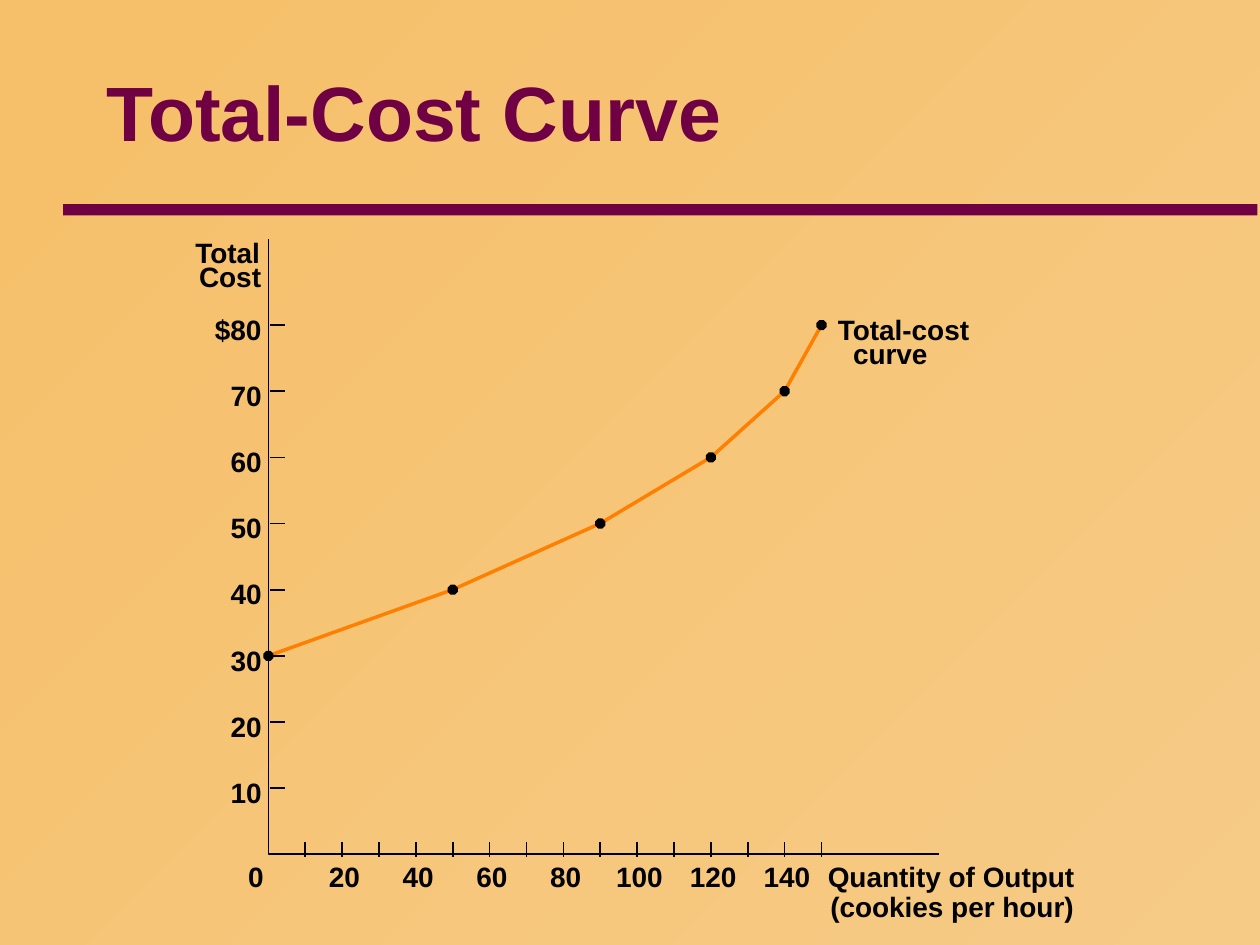
from lxml import etree
from pptx import Presentation
from pptx.dml.color import RGBColor
from pptx.enum.shapes import MSO_CONNECTOR, MSO_SHAPE
from pptx.enum.text import MSO_ANCHOR, MSO_AUTO_SIZE
from pptx.oxml.ns import qn
from pptx.util import Inches, Pt

STRAIGHT = MSO_CONNECTOR.STRAIGHT
RECTANGLE, OCTAGON = MSO_SHAPE.RECTANGLE, MSO_SHAPE.OCTAGON
MIDDLE = MSO_ANCHOR.MIDDLE
FIT_SHAPE, FIXED_SIZE = MSO_AUTO_SIZE.SHAPE_TO_FIT_TEXT, MSO_AUTO_SIZE.NONE

PLUM = RGBColor(0x6E, 0x00, 0x43)
BLACK = RGBColor(0x00, 0x00, 0x00)
ORANGE = RGBColor(0xFF, 0x80, 0x00)
LIGHT_SAND = RGBColor(0xF6, 0xCB, 0x86)
DARK_SAND = RGBColor(0xF6, 0xBF, 0x69)

# Content
TITLE = "Total-Cost Curve"
CURVE = [(0, 30), (50, 40), (90, 50), (120, 60), (140, 70), (150, 80)]
CAPTIONS = [  # text, left, top, width
    ("Total", 1.55, 1.87, 0.55),
    ("Cost", 1.58, 2.06, 0.52),
    ("Quantity of Output", 6.57, 6.82, 1.98),
    ("(cookies per hour)", 6.59, 7.06, 1.96),
    ("0", 1.97, 6.82, 0.13),
    ("Total-cost", 6.65, 2.48, 1.08),
    ("curve", 6.77, 2.67, 0.62),
]

# Axis geometry, in inches
ORIGIN_X, ORIGIN_Y = 2.13, 6.78
AXIS_TOP, AXIS_RIGHT = 1.9, 7.45
X_SCALE = 4.39 / 150
Y_SCALE = 4.2 / 80
DIGIT_WIDTH = 0.125
LABEL_RIGHT, LABEL_TOP, LABEL_HEIGHT = 2.08, 6.82, 0.27
MARKER = 0.08


def x_at(quantity):
    return ORIGIN_X + quantity * X_SCALE


def y_at(cost):
    return ORIGIN_Y - cost * Y_SCALE


def add_label(slide, text, left, top, width, height=LABEL_HEIGHT, size=16, color=BLACK):
    box = slide.shapes.add_textbox(Inches(left), Inches(top), Inches(width), Inches(height))
    frame = box.text_frame
    frame.margin_left = frame.margin_right = frame.margin_top = frame.margin_bottom = 0
    frame.word_wrap = False
    frame.auto_size = FIT_SHAPE
    paragraph = frame.paragraphs[0]
    paragraph.text = text
    font = paragraph.font
    font.name, font.size, font.bold = "Arial", Pt(size), True
    font.color.rgb = color
    return frame


def add_polyline(slide, points, color, width):
    corners = [(Inches(x), Inches(y)) for x, y in points]
    builder = slide.shapes.build_freeform(*corners[0])
    builder.add_line_segments(corners[1:], close=False)
    shape = builder.convert_to_shape()
    shape.shadow.inherit = False
    shape.fill.background()
    shape.line.color.rgb = color
    shape.line.width = Pt(width)


def add_tick(slide, x1, y1, x2, y2):
    tick = slide.shapes.add_connector(STRAIGHT, Inches(x1), Inches(y1), Inches(x2), Inches(y2))
    tick.line.color.rgb = BLACK
    tick.line.width = Pt(1)
    etree.SubElement(tick.element.spPr, qn("a:effectLst"))


def add_solid(slide, kind, left, top, width, height, color):
    shape = slide.shapes.add_shape(kind, Inches(left), Inches(top), Inches(width), Inches(height))
    shape.shadow.inherit = False
    shape.fill.solid()
    shape.fill.fore_color.rgb = color
    shape.line.fill.background()


def main():
    presentation = Presentation()
    presentation.slide_width, presentation.slide_height = Inches(10), Inches(7.5)
    slide = presentation.slides.add_slide(presentation.slide_layouts[6])

    # Background
    background = slide.background.fill
    background.gradient()
    background.gradient_angle = 135
    for stop, color in zip(background.gradient_stops, (LIGHT_SAND, DARK_SAND)):
        stop.color.rgb = color

    # Title and rule
    title = add_label(slide, TITLE, 0.75, 0.25, 8.5, 1.25, 44, PLUM)
    title.margin_left = title.margin_right = Inches(0.1)
    title.margin_top = title.margin_bottom = Inches(0.05)
    title.word_wrap = True
    title.auto_size = FIXED_SIZE
    title.vertical_anchor = MIDDLE
    add_solid(slide, RECTANGLE, 0.5, 1.62, 9.48, 0.09, PLUM)

    # Axes and curve
    axes = [(ORIGIN_X, AXIS_TOP), (ORIGIN_X, ORIGIN_Y), (AXIS_RIGHT, ORIGIN_Y)]
    add_polyline(slide, axes, BLACK, 1)
    points = [(x_at(quantity), y_at(cost)) for quantity, cost in CURVE]
    add_polyline(slide, points[::-1], ORANGE, 2)

    # Cost ticks and labels
    for cost in range(10, 90, 10):
        y = y_at(cost)
        add_tick(slide, 2.26, y, 2.14, y)
        text = f"${cost}" if cost == 80 else str(cost)
        width = len(text) * DIGIT_WIDTH
        add_label(slide, text, LABEL_RIGHT - width, y - 0.1, width)

    # Quantity ticks, with a label on every second one
    for quantity in range(10, 160, 10):
        x = x_at(quantity)
        add_tick(slide, x, 6.8, x, 6.68)
        if quantity % 20 == 0:
            width = len(str(quantity)) * DIGIT_WIDTH
            add_label(slide, str(quantity), x + 0.02 - width / 2, LABEL_TOP, width)

    # Captions and data markers
    for caption in CAPTIONS:
        add_label(slide, *caption)
    for x, y in points:
        add_solid(slide, OCTAGON, x - MARKER / 2, y - MARKER / 2, MARKER, MARKER, BLACK)

    presentation.save("out.pptx")


if __name__ == "__main__":
    main()
